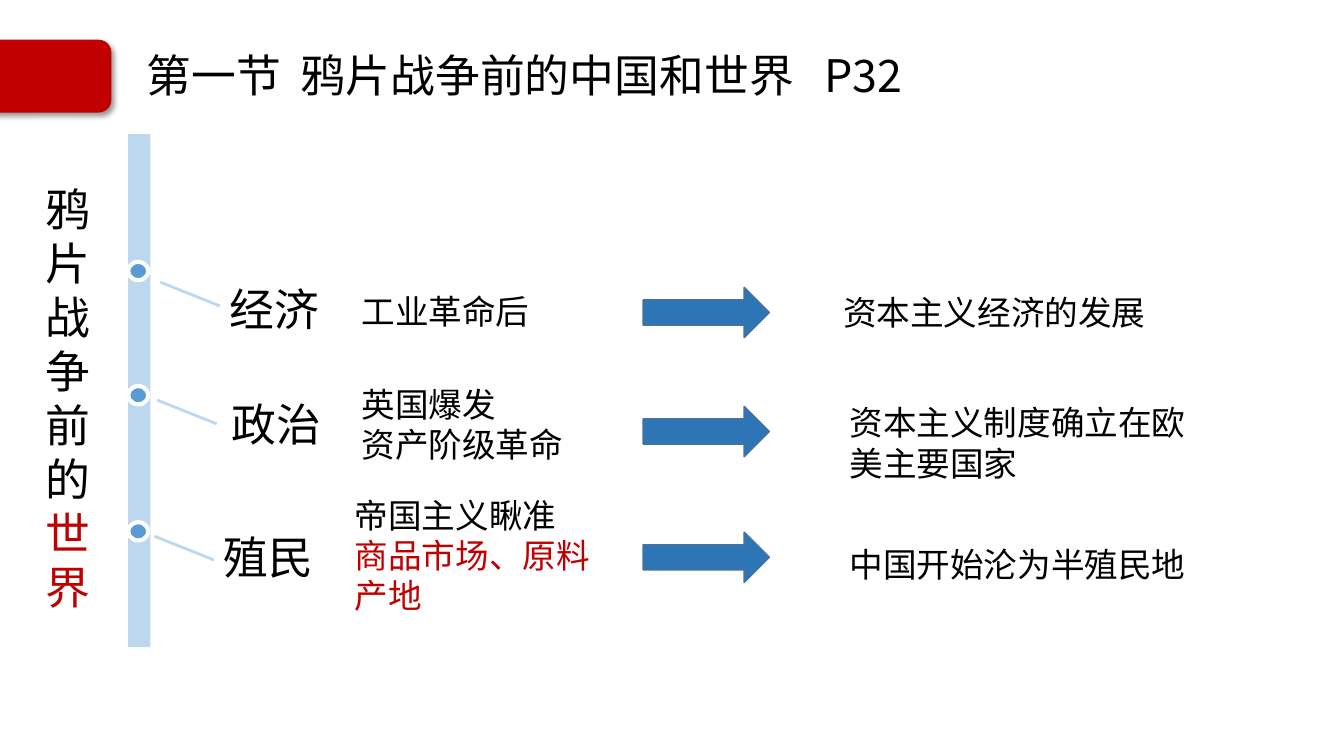
import pptx
import pptx.util
import pptx.dml.color
import pptx.enum.shapes
import pptx.enum.text
from lxml import etree
from pptx.util import Cm

SANS, HEAD = "Noto Sans CJK JP", "Noto Sans CJK SC"
BLACK, RED, PALE = "000000", "C00000", "BDD7EE"
TITLE = "第一节\t鸦片战争前的中国和世界\tP32"
STOPS = (3.88, 17.07)
SIDE = [(c, BLACK) for c in "鸦片战争前的"] + [(c, RED) for c in "世界"]

# Boxes are (left, top, width, height) in centimetres
ROWS = [
    {"dot": 6.6, "lead": (4.04, 7.11), "arrow": 7.24,
     "label": ("经济", (5.79, 7.09, 3.05, 1.35)),
     "cause": ([("工业革命后", BLACK)], (8.86, 7.21, 5.23, 1.27)),
     "result": ([("资本主义经济的发展", BLACK)], (21, 7.24, 8.2, 1.27))},
    {"dot": 9.73, "lead": (3.96, 10.08), "arrow": 10.24,
     "label": ("政治", (5.84, 10.01, 3.05, 1.35)),
     "cause": ([("英国爆发", BLACK), ("资产阶级革命", BLACK)],
               (8.86, 9.55, 5.77, 2.31)),
     "result": ([("资本主义制度确立在欧美主要国家", BLACK)],
                (21.16, 10.01, 9, 2.31))},
    {"dot": 13.16, "lead": (3.89, 13.51), "arrow": 13.41,
     "label": ("殖民", (5.64, 13.34, 2.5, 1.35)),
     "cause": ([("帝国主义瞅准", BLACK), ("商品市场、原料产地", RED)],
               (8.69, 12.34, 6.58, 3.33)),
     "result": ([("中国开始沦为半殖民地", BLACK)],
                (21.16, 13.59, 9.07, 1.27))},
]

KIND = pptx.enum.shapes.MSO_SHAPE
ANCHOR = pptx.enum.text.MSO_ANCHOR
ALIGN = pptx.enum.text.PP_ALIGN


def rgb(code):
    return pptx.dml.color.RGBColor.from_string(code)


def add_node(node, tag, **attrs):
    child = etree.SubElement(node, pptx.oxml.ns.qn(tag))
    for key, value in attrs.items():
        child.set(key, str(value))
    return child


def style(para, size, code, face):
    look = {"size": pptx.util.Pt(size), "name": face, "bold": False}
    for run in para.runs:
        for key, value in look.items():
            setattr(run.font, key, value)
        run.font.color.rgb = rgb(code)
        add_node(run.font._element, "a:ea", typeface=face)


def write(slide, lines, box, size, face=SANS, pitch=None, **frame):
    area = slide.shapes.add_textbox(*map(Cm, box)).text_frame
    for key, value in {"word_wrap": True, **frame}.items():
        setattr(area, key, value)
    for i, (text, code) in enumerate(lines):
        para = area.add_paragraph() if i else area.paragraphs[0]
        para.text = text
        if pitch:
            para.line_spacing = pptx.util.Pt(pitch)
        style(para, size, code, face)


def draw(slide, kind, box, fill, line=None, width=1):
    shape = slide.shapes.add_shape(kind, *map(Cm, box))
    shape.shadow.inherit = False
    shape.fill.solid()
    shape.fill.fore_color.rgb = rgb(fill)
    if line:
        shape.line.color.rgb = rgb(line)
        shape.line.width = pptx.util.Pt(width)
    else:
        shape.line.fill.background()
    return shape


def add_tab(slide):
    """Red tab with a soft shadow at the left edge."""
    tab = draw(slide, KIND.ROUNDED_RECTANGLE, (-0.46, 1.02, 3.25, 1.8), RED, RED)
    glow = tab._element.spPr.find(pptx.oxml.ns.qn("a:effectLst"))
    cast = add_node(glow, "a:outerShdw", blurRad=pptx.util.Pt(4),
                    dist=pptx.util.Pt(3), dir=45 * 60000, algn="tl", rotWithShape=0)
    add_node(add_node(cast, "a:srgbClr", val=BLACK), "a:alpha", val=40000)


def add_title(slide):
    title = slide.shapes.title
    for key, value in zip(("left", "top", "width", "height"),
                          (3.45, 1.22, 21, 1.5)):
        setattr(title, key, Cm(value))
    title.text_frame.vertical_anchor = ANCHOR.MIDDLE
    para = title.text_frame.paragraphs[0]
    para.text = TITLE
    para.alignment = ALIGN.LEFT
    para.line_spacing = 0.9
    tabs = add_node(para._p.get_or_add_pPr(), "a:tabLst")
    for stop in STOPS:
        add_node(tabs, "a:tab", pos=Cm(stop), algn="l")
    style(para, 32, BLACK, SANS)


def add_row(slide, row):
    draw(slide, KIND.OVAL, (3.23, row["dot"], 0.51, 0.46), "5B9BD5", "FFFFFF", 3)
    x, y = row["lead"]
    lead = slide.shapes.add_connector(
        pptx.enum.shapes.MSO_CONNECTOR.STRAIGHT, *map(Cm, (x, y, x + 1.5, y + 0.6)))
    lead.line.color.rgb = rgb(PALE)
    lead.line.width = pptx.util.Pt(2)
    add_node(lead._element.spPr, "a:effectLst")
    text, box = row["label"]
    flush = {"margin_" + side: 0 for side in ("left", "top", "right", "bottom")}
    write(slide, [(text, BLACK)], box, 32, HEAD,
          vertical_anchor=ANCHOR.MIDDLE, **flush)
    for part in ("cause", "result"):
        write(slide, *row[part], 24, pitch=28.8)
    draw(slide, KIND.RIGHT_ARROW, (16.21, row["arrow"], 3.18, 1.27),
         "2E75B6", "43739E")


def main():
    deck = pptx.Presentation()
    deck.slide_width, deck.slide_height = Cm(33.87), Cm(19.05)
    slide = deck.slides.add_slide(deck.slide_layouts[5])
    add_tab(slide)
    add_title(slide)
    write(slide, SIDE, (0.91, 4.45, 2.31, 11.2), 32, pitch=38.6)
    draw(slide, KIND.RECTANGLE, (3.23, 3.38, 0.56, 12.93), PALE)
    for row in ROWS:
        add_row(slide, row)
    deck.save("out.pptx")


if __name__ == "__main__":
    main()
